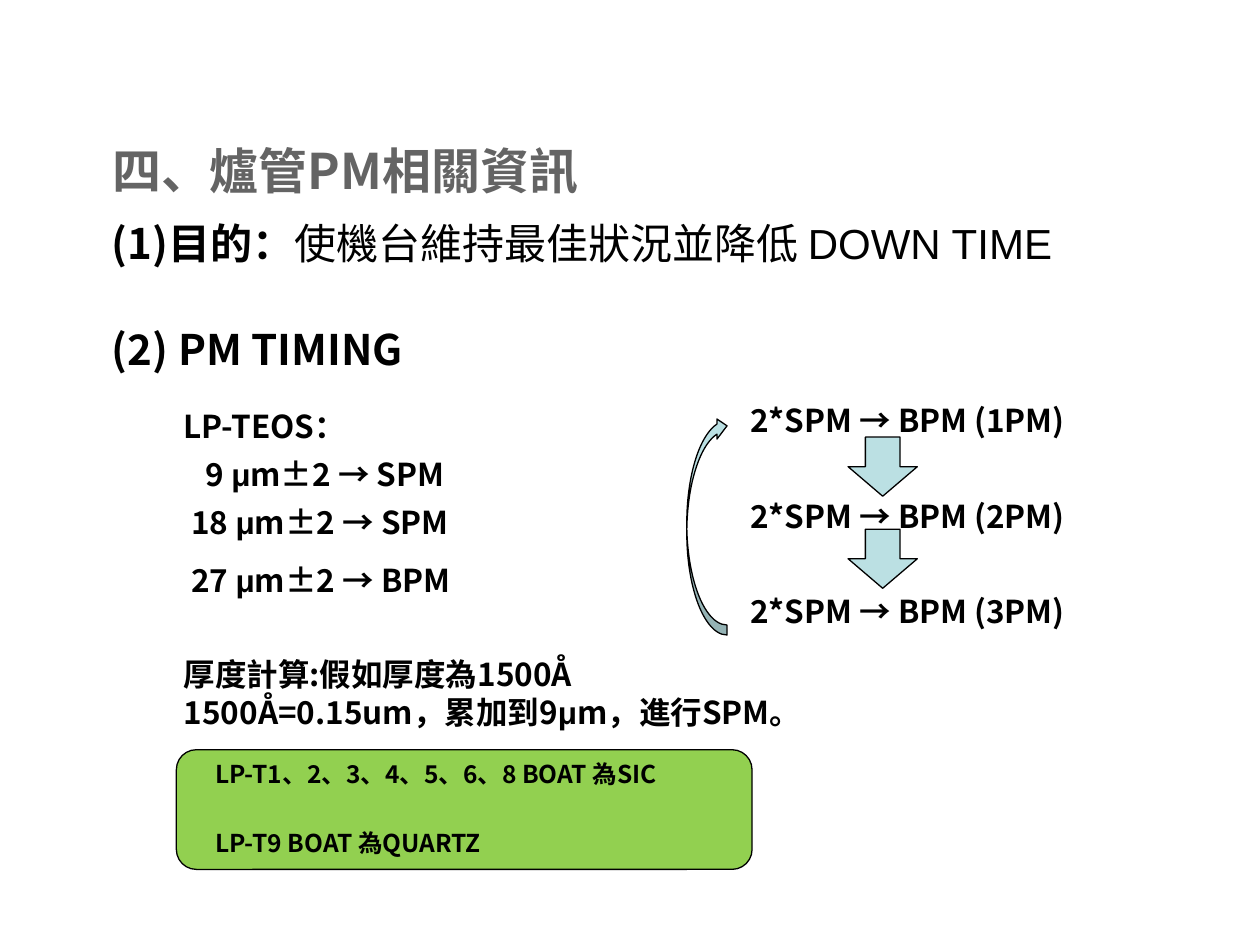
from dataclasses import dataclass
from typing import Any

from lxml import etree
from pptx import Presentation
from pptx.dml.color import RGBColor
from pptx.enum.shapes import MSO_SHAPE
from pptx.enum.text import MSO_ANCHOR, PP_ALIGN
from pptx.oxml.ns import qn
from pptx.util import Pt

BLACK = RGBColor(0x00, 0x00, 0x00)
GRAY = RGBColor(0x64, 0x64, 0x64)
TEAL = RGBColor(0xBB, 0xE0, 0xE3)
GREEN = RGBColor(0x92, 0xD0, 0x50)
LEFT, RIGHT = PP_ALIGN.LEFT, PP_ALIGN.RIGHT
TOP, MIDDLE, BOTTOM = MSO_ANCHOR.TOP, MSO_ANCHOR.MIDDLE, MSO_ANCHOR.BOTTOM
DOWN_ARROW = MSO_SHAPE.DOWN_ARROW
CURVED_ARROW = MSO_SHAPE.CURVED_DOWN_ARROW
ROUNDED = MSO_SHAPE.ROUNDED_RECTANGLE
SANS, SANS_TC, LATIN = "Noto Sans CJK SC", "Noto Sans CJK TC", "Arial"


@dataclass
class SlideBuilder:
    page: Any
    font: str = SANS
    color: RGBColor = BLACK

    def place(self, item, bounds):
        for name, value in zip(("left", "top", "width", "height"), bounds):
            setattr(item, name, Pt(value))

    def span(self, para, text, size, **changes):
        span = para.add_run()
        span.text = text
        values = {"name": self.font, "size": Pt(size), "bold": True} | changes
        for name, value in values.items():
            setattr(span.font, name, value)
        span.font.color.rgb = self.color
        if values["name"] != LATIN:
            east = etree.Element(qn("a:ea"), typeface=values["name"])
            span.font._element.find(qn("a:latin")).addnext(east)

    def fill_frame(self, frame, lines, size, anchor, align):
        frame.word_wrap = True
        frame.vertical_anchor = anchor
        for index, (spans, before, indent) in enumerate(lines):
            para = frame.paragraphs[0] if index == 0 else frame.add_paragraph()
            values = {"alignment": align, "space_before": Pt(before)}
            for name, value in values.items():
                setattr(para, name, value)
            if indent:
                para._p.get_or_add_pPr().set("marL", str(Pt(indent)))
            for text, changes in spans:
                self.span(para, text, size, **changes)

    def title(self, bounds, text, size):
        box = self.page.shapes.title
        self.place(box, bounds)
        self.fill_frame(box.text_frame, [([(text, {})], 0, 0)], size, MIDDLE, LEFT)

    def text(self, bounds, lines, size, anchor=TOP, align=LEFT):
        box = self.page.shapes.add_textbox(*map(Pt, bounds))
        if anchor == BOTTOM:
            box.text_frame.margin_bottom = Pt(7.2)
        self.fill_frame(box.text_frame, lines, size, anchor, align)

    def shape(self, kind, bounds, fill, rotation=0):
        shape = self.page.shapes.add_shape(kind, *map(Pt, bounds))
        shape.shadow.inherit = False
        shape.rotation = rotation
        shape.fill.solid()
        shape.fill.fore_color.rgb = fill
        shape.line.color.rgb = BLACK
        shape.line.width = Pt(0.75)


def micro(before_text, after_text):
    return [(before_text, {}), ("μ", {"name": LATIN}), (after_text, {})]


def main():
    deck = Presentation()
    deck.slide_width, deck.slide_height = Pt(720), Pt(540)
    slide = SlideBuilder(deck.slides.add_slide(deck.slide_layouts[5]))

    slide.color = GRAY
    slide.title((56.9, 71.3, 614.9, 51.1), "四、爐管PM相關資訊", 28)
    slide.color = BLACK

    purpose = [("(1)目的：", {}),
               ("使機台維持最佳狀況並降低 DOWN TIME", {"name": LATIN, "bold": False})]
    slide.text((56.9, 126.7, 592.6, 33.8), [(purpose, 0, 0)], 24, BOTTOM)
    slide.text((56.9, 187.2, 281.5, 33.8), [([("(2) PM TIMING", {})], 0, 0)], 24, BOTTOM)

    timing = [([("LP-TEOS：", {})], 0, 0)]
    for depth, kind, before, indent in (
        (9, "SPM", 5.8, 12.5), (18, "SPM", 5.8, 4.3), (27, "BPM", 11.5, 4.3)
    ):
        timing.append((micro(f"{depth} ", f"m±2 → {kind}"), before, indent))
    slide.text((97.9, 229, 198.7, 118.1), timing, 18)

    cycle = [([(f"2*SPM → BPM ({number}PM)", {})], 33.2 if number > 1 else 0, 0)
             for number in (1, 2, 3)]
    slide.text((337.7, 225.4, 277.9, 181.4), cycle, 18, align=RIGHT)
    for step in range(2):
        slide.shape(DOWN_ARROW, (484.6, 249.8 + 52.6 * step, 39.6, 33.8), TEAL)
    slide.shape(CURVED_ARROW, (341.3, 288.7, 125.3, 23), TEAL, 270)

    thickness = [([("厚度計算:假如厚度為1500Å", {})], 0, 0),
                 (micro("1500Å=0.15um，累加到9", "m，進行SPM。"), 0, 0)]
    slide.text((97.9, 370.8, 437.8, 72), thickness, 18)

    slide.shape(ROUNDED, (100.8, 428.4, 329, 68.4), GREEN)
    slide.font = SANS_TC
    boats = [([("LP-T1、2、3、4、5、6、8 BOAT 為SIC", {})], 0, 0),
             ([("LP-T9 BOAT 為QUARTZ", {})], 23, 0)]
    slide.text((115.9, 430, 360, 72), boats, 14)

    deck.save("out.pptx")


if __name__ == "__main__":
    main()
